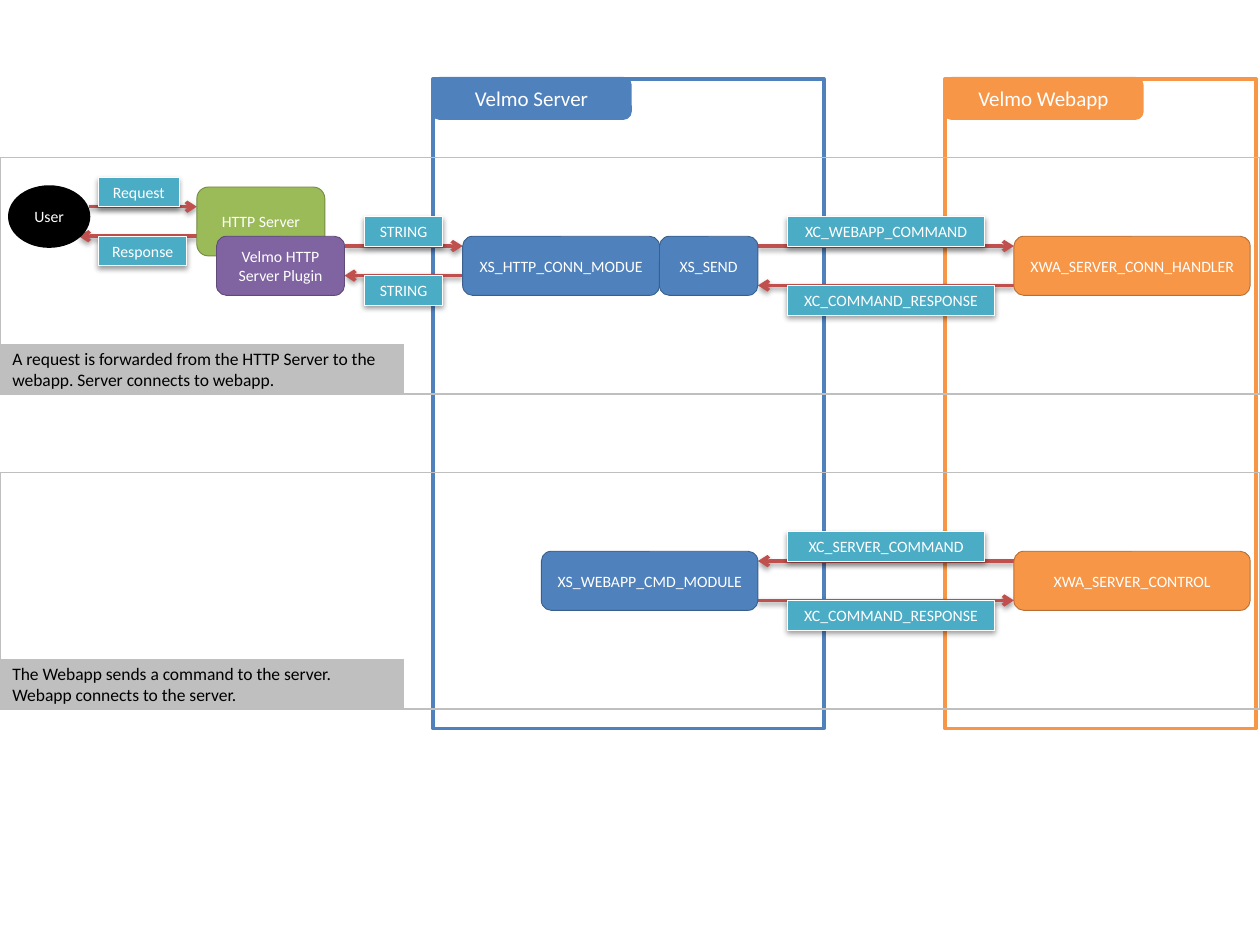
from lxml import etree
from pptx import Presentation
from pptx.dml.color import RGBColor
from pptx.enum.shapes import MSO_CONNECTOR as Link, MSO_SHAPE as Form
from pptx.enum.text import MSO_ANCHOR as Anchor, PP_ALIGN as Align
from pptx.oxml.ns import qn
from pptx.util import Inches, Pt

UNIT = 10 / 128  # the slide is a grid of 128 columns and 96 rows
BLUE, ORANGE, GREEN, PURPLE = "4F81BD", "F79646", "9BBB59", "8064A2"
TEAL, RED, GRAY, BLACK, WHITE = "4BACC6", "C0504D", "BFBFBF", "000000", "FFFFFF"
EDGE = {BLUE: "3A5F8C", ORANGE: "B76F34", GREEN: "738A42", PURPLE: "5F4A78"}


def grid(*cells):
    return [Inches(cell * UNIT) for cell in cells]


def paint(target, color):
    target.rgb = RGBColor.from_string(color)


def shade(item):
    """Soft shadow straight below an item."""
    props = item._element.spPr
    for old in props.findall(qn("a:effectLst")):
        props.remove(old)
    effects = etree.SubElement(props, qn("a:effectLst"))
    outer = etree.SubElement(effects, qn("a:outerShdw"), blurRad=str(Pt(3.1)),
                             dist=str(Pt(1.6)), dir="5400000", rotWithShape="0")
    tint = etree.SubElement(outer, qn("a:srgbClr"), val=BLACK)
    etree.SubElement(tint, qn("a:alpha"), val="38000")


def block(slide, form, box, fill, edge, width=0.5, text="", size=9,
          color=WHITE, align=Align.CENTER, pads=(0.06, 0.06)):
    item = slide.shapes.add_shape(form, *grid(*box))
    item.shadow.inherit = False
    if fill:
        item.fill.solid()
        paint(item.fill.fore_color, fill)
    else:
        item.fill.background()
    paint(item.line.color, edge)
    item.line.width = Pt(width)
    if text:
        frame = item.text_frame
        frame.word_wrap = True
        frame.vertical_anchor = Anchor.MIDDLE
        frame.margin_left, frame.margin_right = map(Inches, pads)
        frame.margin_top = frame.margin_bottom = Inches(0.03)
        para = frame.paragraphs[0]
        para.text, para.alignment = text, align
        para.font.name, para.font.size = "Calibri", Pt(size)
        paint(para.font.color, color)
    return item


def arrow(slide, start, end, row):
    item = slide.shapes.add_connector(Link.STRAIGHT, *grid(start, row, end, row))
    paint(item.line.color, RED)
    item.line.width = Pt(2)
    etree.SubElement(item.line._get_or_add_ln(), qn("a:tailEnd"), type="arrow")
    shade(item)


def column(slide, left, top, width, height, color):
    block(slide, Form.RECTANGLE, (left, top, width, height), WHITE, color, 2)


def header(slide, left, top, color, text):
    block(slide, Form.ROUNDED_RECTANGLE, (left, top, 20, 4), color, color, 2, text, 12)


def lane(slide, top, arrows, nodes, labels, note):
    """One band of the flow; rows count from its top."""
    for start, end, row in arrows:
        arrow(slide, start, end, top + row)
    for text, left, row, width, height, color in nodes:
        form = Form.OVAL if color == BLACK else Form.ROUNDED_RECTANGLE
        block(slide, form, (left, top + row, width, height), color,
              EDGE.get(color, color), 2 if color == BLACK else 0.5, text)
    for text, left, row, width in labels:
        shade(block(slide, Form.RECTANGLE, (left, top + row, width, 3),
                    TEAL, WHITE, text=text))
    # Caption and frame
    block(slide, Form.RECTANGLE, (0, top + 19, 41, 5), GRAY, GRAY, 1, note, 10,
          BLACK, Align.LEFT, (0.1, 0.16))
    block(slide, Form.RECTANGLE, (0, top, 128, 24), None, GRAY, 1)


deck = Presentation()
deck.slide_width, deck.slide_height = grid(128, 96)
slide = deck.slides.add_slide(deck.slide_layouts[6])

# Systems
column(slide, 44, 8, 39.7, 66, BLUE)
column(slide, 96, 8, 31.6, 66, ORANGE)
header(slide, 44, 8, BLUE, "Velmo Server")
header(slide, 96, 8, ORANGE, "Velmo Webapp")

# Request from the user
lane(slide, 16,
     [(9, 20, 5), (20, 8, 8), (35, 47, 9), (47, 35, 12), (77, 103, 9), (103, 77, 13)],
     [("User", 1, 3, 8, 6, BLACK),
      ("HTTP Server", 20, 3, 13, 7, GREEN),
      ("Velmo HTTP Server Plugin", 22, 8, 13, 6, PURPLE),
      ("XS_HTTP_CONN_MODUE", 47, 8, 20, 6, BLUE),
      ("XS_SEND", 67, 8, 10, 6, BLUE),
      ("XWA_SERVER_CONN_HANDLER", 103, 8, 24, 6, ORANGE)],
     [("Request", 10, 2, 8.2), ("Response", 10, 8, 9),
      ("STRING", 37, 6, 8), ("STRING", 37, 12, 8),
      ("XC_WEBAPP_COMMAND", 80, 6, 20), ("XC_COMMAND_RESPONSE", 80, 13, 21)],
     "A request is forwarded from the HTTP Server to the webapp. "
     "Server connects to webapp.")

# Command from the webapp
lane(slide, 48,
     [(103, 77, 9), (77, 103, 13)],
     [("XS_WEBAPP_CMD_MODULE", 55, 8, 22, 6, BLUE),
      ("XWA_SERVER_CONTROL", 103, 8, 24, 6, ORANGE)],
     [("XC_SERVER_COMMAND", 80, 6, 20), ("XC_COMMAND_RESPONSE", 80, 13, 21)],
     "The Webapp sends a command to the server. Webapp connects to the server.")

deck.save("out.pptx")
